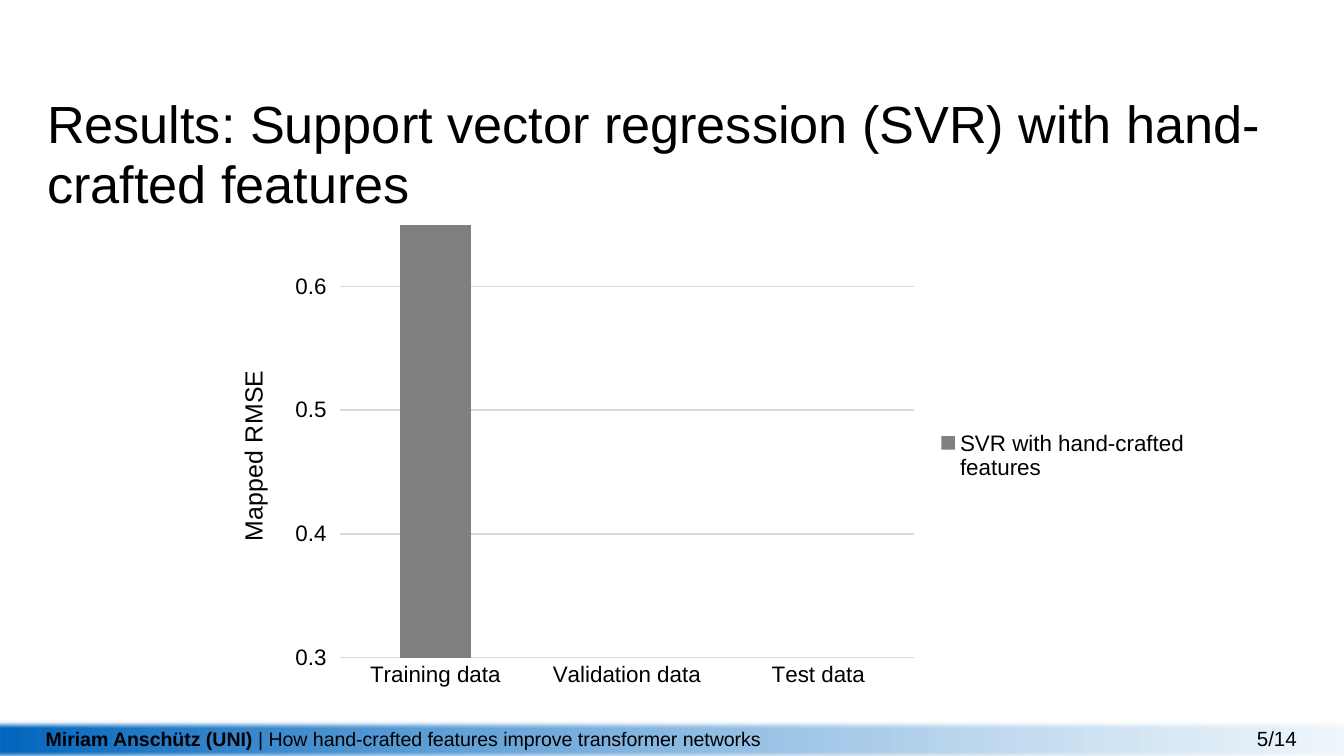
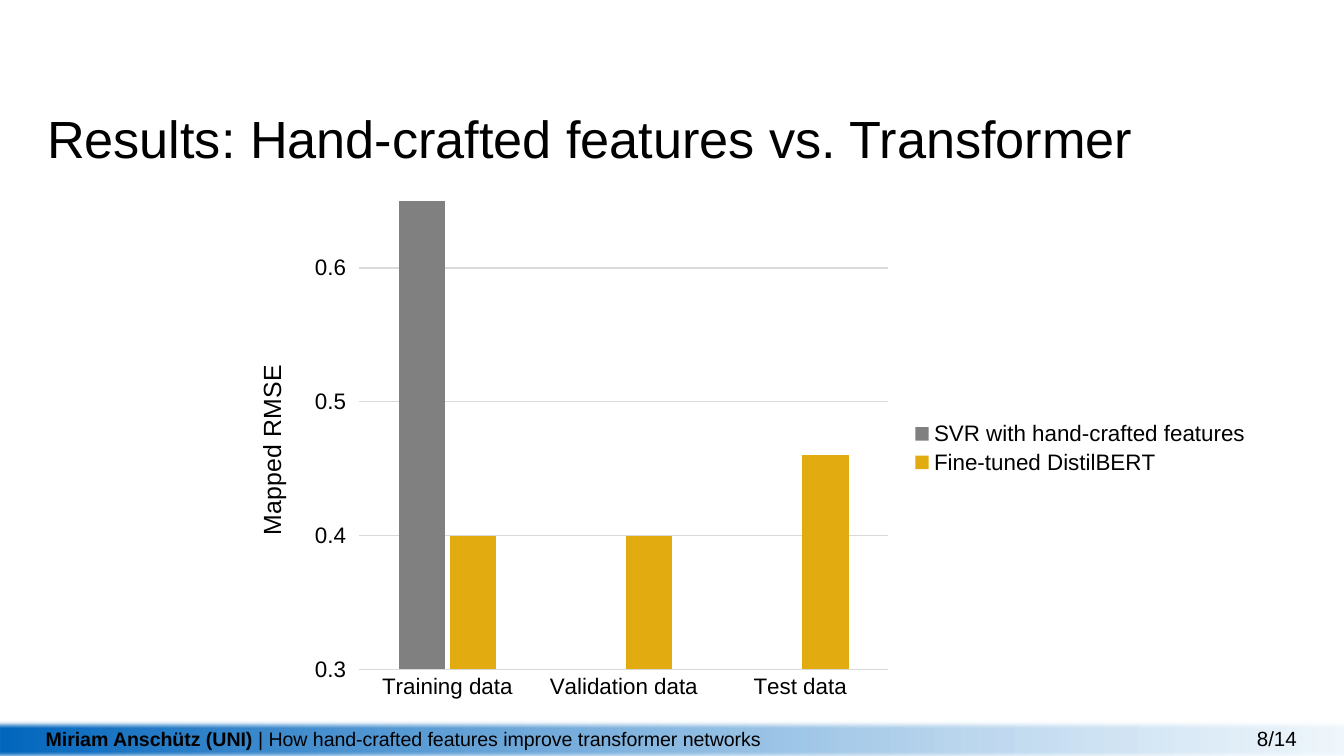
from lxml.etree import SubElement
from pptx import Presentation
from pptx.chart.data import CategoryChartData
from pptx.dml.color import RGBColor
from pptx.enum.chart import XL_CHART_TYPE, XL_LEGEND_POSITION, XL_TICK_MARK
from pptx.enum.shapes import MSO_SHAPE
from pptx.enum.text import MSO_ANCHOR, PP_ALIGN
from pptx.oxml import parse_xml
from pptx.oxml.ns import nsdecls, qn
from pptx.util import Inches, Pt

COLORS = {
    "text": "000000",
    "grid": "D9D9D9",
    "band_light": "EAF4FB",
    "band_dark": "0065BD",
    "svr": "808080",
    "transformer": "E2AB10",
}
FONT = "Arial"
CATEGORIES = ["Training data", "Validation data", "Test data"]
SVR = ("SVR with hand-crafted features", [0.65, None, None], "svr")
TRANSFORMER = ("Fine-tuned DistilBERT", [0.4, 0.4, 0.46], "transformer")


def rgb(name):
    return RGBColor.from_string(COLORS[name])


def layout_xml(frame, target=""):
    values = "".join(f'<c:{key} val="{value}"/>' for key, value in zip("xywh", frame))
    modes = '<c:xMode val="edge"/><c:yMode val="edge"/>'
    return parse_xml(f'<c:layout {nsdecls("c")}><c:manualLayout>{target}{modes}{values}'
                     '</c:manualLayout></c:layout>')


class SlideBuilder:
    def __init__(self, deck):
        self.deck = deck
        self.slide = None

    def style(self, font, size, bold=False):
        font.name = FONT
        font.size = Pt(size)
        font.bold = bold
        font.color.rgb = rgb("text")

    def page(self, number):
        self.slide = self.deck.slides.add_slide(self.deck.slide_layouts[6])
        self.band()
        self.text((0.34, 5.35, 7.07, 0.29), [
            ("Miriam Anschütz (UNI) ", 10.5, True),
            ("| How hand-crafted features improve transformer networks", 10.5, False),
        ], inset=0.05, anchor=MSO_ANCHOR.MIDDLE)
        self.text((7.41, 5.35, 2.24, 0.29), [(f"{number}/14", 11, False)],
                  inset=0.05, anchor=MSO_ANCHOR.MIDDLE, align=PP_ALIGN.RIGHT)

    def band(self):
        band = self.slide.shapes.add_shape(
            MSO_SHAPE.RECTANGLE, *map(Inches, (-0.05, 5.36, 10.1, 0.29)))
        band.line.fill.background()
        band.fill.gradient()
        band.fill.gradient_angle = 180
        stops = band.fill.gradient_stops
        for stop, position, color in zip(stops, (0, 1), ("band_light", "band_dark")):
            stop.position = position
            stop.color.rgb = rgb(color)
        light = next(band._element.iter(qn("a:srgbClr")))
        SubElement(light, qn("a:alpha")).set("val", "70000")
        band.shadow.inherit = False
        effects = band._element.spPr.find(qn("a:effectLst"))
        SubElement(effects, qn("a:softEdge")).set("rad", str(Pt(2.5)))

    def text(self, place, spans, inset=0, anchor=MSO_ANCHOR.TOP,
             align=PP_ALIGN.LEFT, spacing=None):
        box = self.slide.shapes.add_textbox(*map(Inches, place))
        frame = box.text_frame
        frame.word_wrap = True
        frame.vertical_anchor = anchor
        frame.margin_left = frame.margin_right = 0
        frame.margin_top = frame.margin_bottom = Inches(inset)
        para = frame.paragraphs[0]
        para.alignment = align
        if spacing:
            para.line_spacing = Pt(spacing)
        for words, size, bold in spans:
            span = para.add_run()
            span.text = words
            self.style(span.font, size, bold)

    def title(self, words, top, height):
        self.text((0.35, top, 9.31, height), [(words, 28, False)], spacing=32)

    def chart(self, place, series, plot_frame, legend_frame):
        data = CategoryChartData()
        data.categories = CATEGORIES
        for name, values, color in series:
            data.add_series(name, values)
        chart = self.slide.shapes.add_chart(
            XL_CHART_TYPE.COLUMN_CLUSTERED, *map(Inches, place), data).chart
        self.style(chart.font, 10)
        chart.has_title = False
        plot = chart.plots[0]
        plot.gap_width = 172
        plot.overlap = -10
        plot.vary_by_categories = False
        for bars, (name, values, color) in zip(plot.series, series):
            bars.format.fill.solid()
            bars.format.fill.fore_color.rgb = rgb(color)
        self.axes(chart)
        self.legend(chart, legend_frame)
        area = chart._chartSpace.chart.plotArea
        for old in area.findall(qn("c:layout")):
            area.remove(old)
        area.insert(0, layout_xml(plot_frame, '<c:layoutTarget val="inner"/>'))

    def axes(self, chart):
        category, value = chart.category_axis, chart.value_axis
        for axis in (category, value):
            self.style(axis.tick_labels.font, 12)
            axis.minor_tick_mark = XL_TICK_MARK.NONE
        category.major_tick_mark = XL_TICK_MARK.NONE
        value.major_tick_mark = XL_TICK_MARK.OUTSIDE
        value.minimum_scale, value.maximum_scale, value.major_unit = 0.3, 0.65, 0.1
        value.tick_labels.number_format = "0.0"
        value.tick_labels.number_format_is_linked = False
        value.format.line.fill.background()
        value.has_major_gridlines = True
        for line in (category.format.line, value.major_gridlines.format.line):
            line.color.rgb = rgb("grid")
            line.width = Pt(0.75)
        span = value.axis_title.text_frame.paragraphs[0].add_run()
        span.text = "Mapped RMSE"
        self.style(span.font, 13.3)

    def legend(self, chart, frame):
        chart.has_legend = True
        legend = chart.legend
        legend.position = XL_LEGEND_POSITION.RIGHT
        legend.include_in_layout = False
        self.style(legend.font, 12)
        element = legend._element
        for old in element.findall(qn("c:layout")):
            element.remove(old)
        element.find(qn("c:legendPos")).addnext(layout_xml(frame))


deck = Presentation()
deck.slide_width = Inches(10)
deck.slide_height = Inches(10 * 9 / 16)
builder = SlideBuilder(deck)

builder.page(5)
builder.title("Results: Support vector regression (SVR) with hand-crafted features", 0.7, 0.9)
builder.chart((1.57, 1.6, 7.37, 3.58), [SVR],
              (0.13, 0.02, 0.58, 0.9), (0.73, 0.44, 0.26, 0.12))

builder.page(8)
builder.title("Results: Hand-crafted features vs. Transformer", 0.81, 0.45)
builder.chart((1.67, 1.42, 7.72, 3.83), [SVR, TRANSFORMER],
              (0.13, 0.02, 0.51, 0.91), (0.66, 0.44, 0.33, 0.12))

deck.save("out.pptx")
